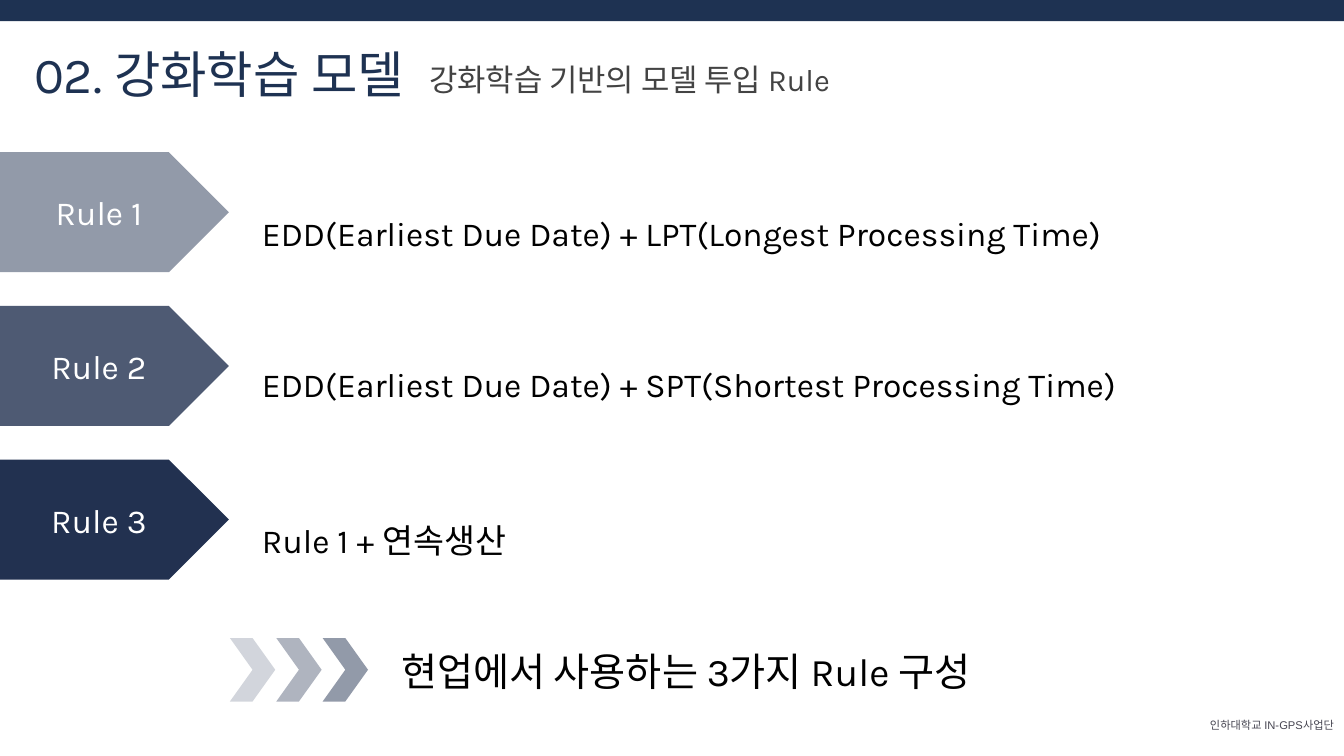
from lxml.etree import SubElement
from pptx import Presentation
from pptx.dml.color import RGBColor
from pptx.enum.shapes import MSO_SHAPE
from pptx.enum.text import MSO_ANCHOR, MSO_AUTO_SIZE, PP_ALIGN
from pptx.oxml.ns import qn
from pptx.util import Inches, Pt

NAVY = RGBColor(0x1E, 0x32, 0x52)
DEEP_NAVY = RGBColor(0x22, 0x31, 0x50)
WHITE = RGBColor(0xFF, 0xFF, 0xFF)
BLACK = RGBColor(0x00, 0x00, 0x00)
GRAY = RGBColor(0x43, 0x43, 0x43)
FOOTER_GRAY = RGBColor(0x47, 0x46, 0x52)

RULES = [
    ("Rule 1", 49, "EDD(Earliest Due Date) + LPT(Longest Processing Time)", 10, 0.3),
    ("Rule 2", 80, "EDD(Earliest Due Date) + SPT(Shortest Processing Time)", 10.83, 0.27),
    ("Rule 3", 100, "Rule 1 + 연속생산", 2.97, 0.3),
]


def write(shape, text, size, color, align=PP_ALIGN.LEFT, font="Karla", inset=0.1, spacing=None):
    """Fill a shape with one styled paragraph."""
    frame = shape.text_frame
    frame.word_wrap = True
    frame.margin_left = frame.margin_right = Inches(0.1)
    frame.margin_top = frame.margin_bottom = Inches(inset)
    para = frame.paragraphs[0]
    para.alignment = align
    if spacing:
        para.line_spacing = spacing
    span = para.add_run()
    span.text = text
    span.font.name = font
    span.font.size = Pt(size)
    span.font.color.rgb = color


def add_text(page, box, text, size, color, **style):
    """Add a text box that grows with its text."""
    shape = page.shapes.add_textbox(*map(Inches, box))
    write(shape, text, size, color, **style)
    shape.text_frame.auto_size = MSO_AUTO_SIZE.SHAPE_TO_FIT_TEXT


def add_block(page, kind, box, color, opacity=100):
    """Add a flat shape without outline, with the opacity in percent."""
    shape = page.shapes.add_shape(kind, *map(Inches, box))
    shape.shadow.inherit = False
    shape.line.fill.background()
    shape.fill.solid()
    shape.fill.fore_color.rgb = color
    if opacity < 100:
        tint = shape.fill._xPr.find(qn("a:solidFill"))[0]
        SubElement(tint, qn("a:alpha"), val=str(opacity * 1000))
    return shape


def add_header(page, left, top, width):
    """Draw the top bar, the title and the subtitle."""
    add_block(page, MSO_SHAPE.RECTANGLE, (left, top, width, 0.21), NAVY)
    add_text(page, (left + 0.24, top + 0.38, 4.27, 0.71), "02. 강화학습 모델",
             36, NAVY, inset=0.05)
    add_text(page, (left + 4.16, top + 0.5, 4.17, 0.57), "강화학습 기반의 모델 투입 Rule",
             22, GRAY)


def add_rules(page, left, top, pitch):
    """Stack the rule arrows with their descriptions."""
    for index, (label, opacity, detail, width, drop) in enumerate(RULES):
        row = top + index * pitch
        arrow = add_block(page, MSO_SHAPE.PENTAGON, (left, row, 2.28, 1.19), DEEP_NAVY, opacity)
        arrow.text_frame.vertical_anchor = MSO_ANCHOR.MIDDLE
        write(arrow, label, 24, WHITE, align=PP_ALIGN.CENTER)
        add_text(page, (left + 2.51, row + drop, width, 0.61), detail, 24, BLACK, spacing=1.5)


def add_summary(page, left, top):
    """Draw the darkening chevrons and the closing sentence."""
    for index, opacity in enumerate((20, 36, 49)):
        box = (left + index * 0.46, top, 0.45, 0.63)
        add_block(page, MSO_SHAPE.CHEVRON, box, DEEP_NAVY, opacity)
    add_text(page, (left + 1.6, top - 0.01, 8.1, 0.67), "현업에서 사용하는 3가지 Rule 구성",
             28, BLACK)


def add_footer(page, left, top):
    """Place the name of the institute in the corner."""
    add_text(page, (left, top, 1.49, 0.37), "인하대학교 IN-GPS사업단", 8, FOOTER_GRAY,
             align=PP_ALIGN.RIGHT, font="Arial", inset=0.05)


def main():
    """Build and save the slide."""
    deck = Presentation()
    deck.slide_width = Inches(13.33)
    deck.slide_height = Inches(7.5)
    page = deck.slides.add_slide(deck.slide_layouts[6])
    add_footer(page, 11.84, 7.08)
    add_header(page, 0, 0, 13.33)
    add_rules(page, -0.01, 1.51, 1.525)
    add_summary(page, 2.28, 6.33)
    deck.save("out.pptx")


if __name__ == "__main__":
    main()
